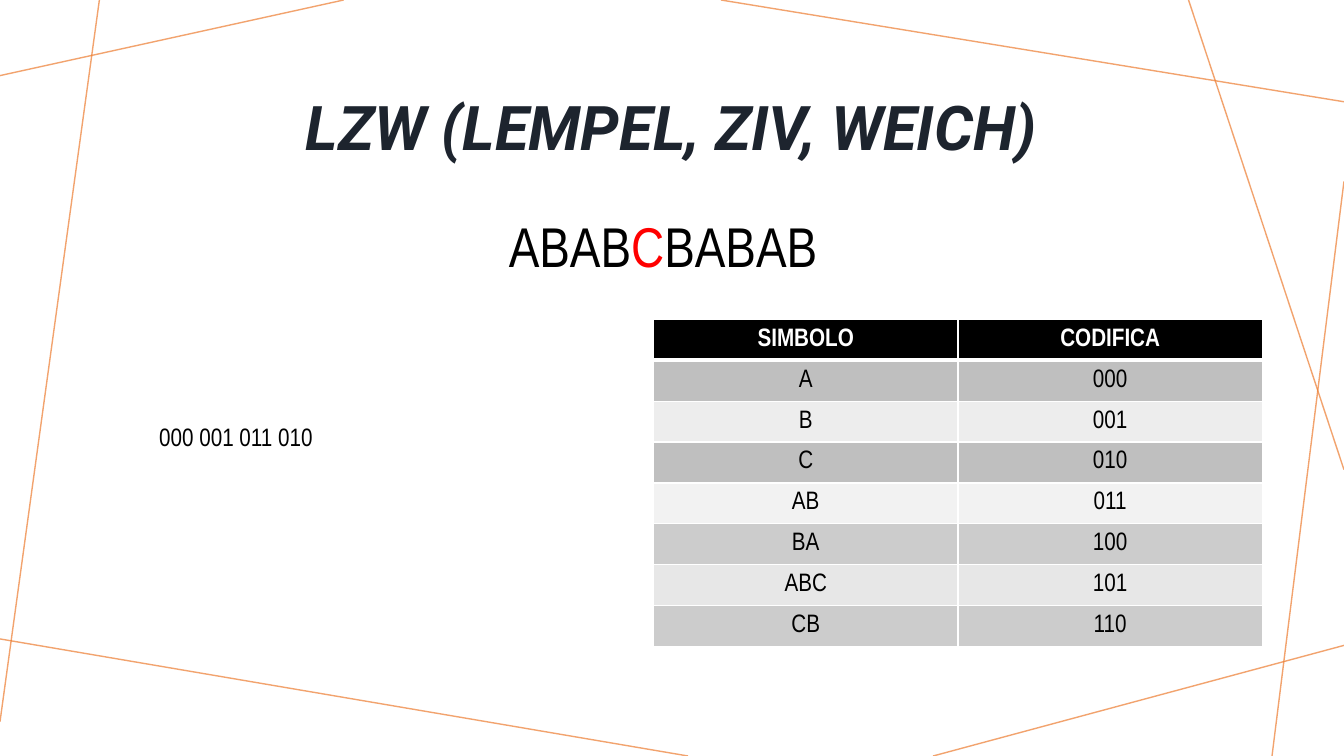
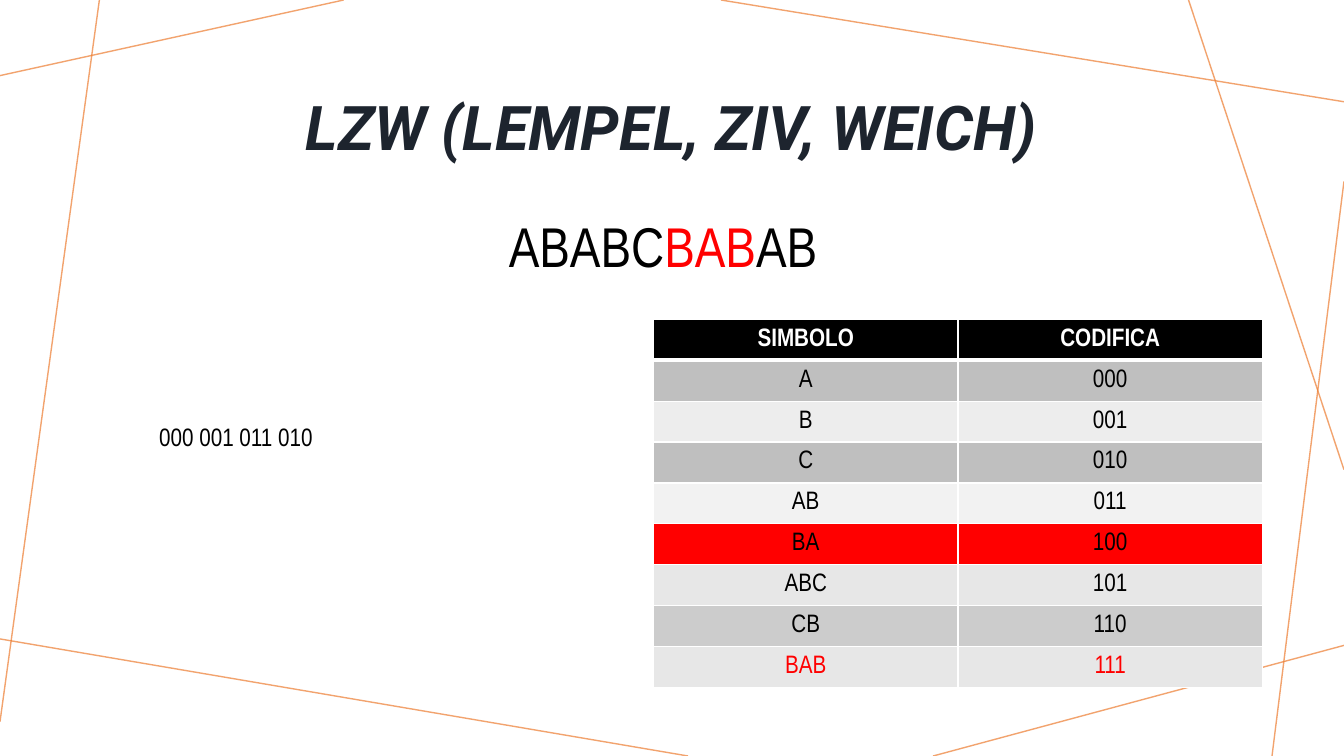
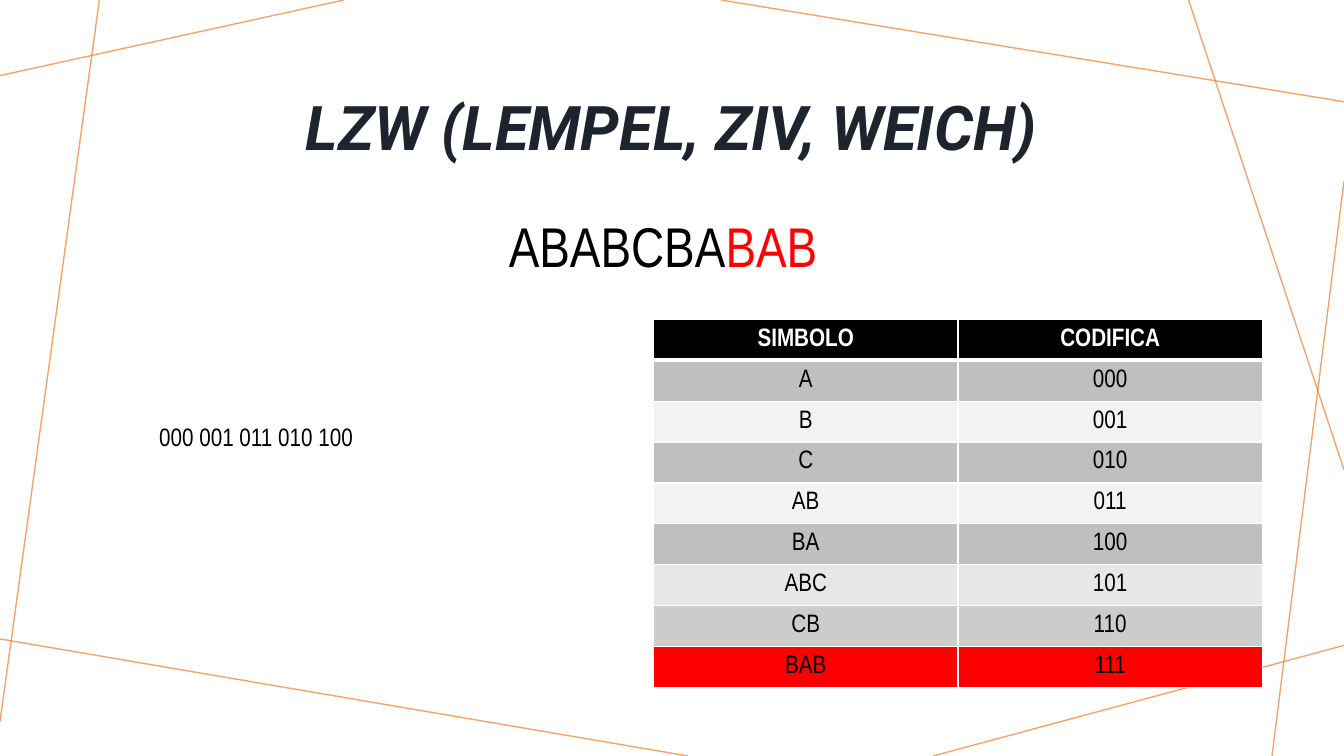
from lxml import etree
from pptx import Presentation
from pptx.dml.color import RGBColor
from pptx.enum import shapes, text
from pptx.oxml.ns import qn
from pptx.util import Pt

BLACK, WHITE, RED = "000000", "FFFFFF", "FF0000"
ORANGE, NAVY = "ED7D31", "1D242E"
DARK, MID, LIGHT, PALE, PALEST = "BFBFBF", "CCCCCC", "E7E7E7", "EDEDED", "F2F2F2"
BODY_FONT, TITLE_FONT = "Arial Narrow", "Roboto"

TITLE = "LZW (LEMPEL, ZIV, WEICH)"
HEADER = ("SIMBOLO", "CODIFICA")
SYMBOLS = ("A", "B", "C", "AB", "BA", "ABC", "CB", "BAB")
CROSSING_LINES = (
    (245.5, 0, 0, 54),
    (71, 0, 0, 515.5),
    (491.5, 540, 0, 456.4),
    (960, 461, 666.5, 540),
    (960, 129.6, 908.6, 540),
    (960, 335.5, 849, 0),
    (960, 72.7, 515, 0),
)

# One step per slide: message as (read, current, unread), output so far,
# row fills, colour of the newest symbol
STEPS = (
    (("ABAB", "C", "BABAB"), "000 001 011 010",
     (DARK, PALE, DARK, PALEST, MID, LIGHT, MID), BLACK),
    (("ABABC", "BAB", "AB"), "000 001 011 010",
     (DARK, PALE, DARK, PALEST, RED, LIGHT, MID, LIGHT), RED),
    (("ABABCBA", "BAB", ""), "000 001 011 010 100",
     (DARK, PALEST, DARK, PALEST, DARK, LIGHT, MID, RED), BLACK),
)


def rgb(value):
    return RGBColor.from_string(value)


def write(p, content, size=18, color=BLACK, font=BODY_FONT, bold=False, italic=False):
    """Add a formatted run to a paragraph."""
    r = p.add_run()
    r.text = content
    r.font.size = Pt(size)
    r.font.name = font
    r.font.bold = bold
    r.font.italic = italic
    r.font.color.rgb = rgb(color)


def add_background_line(s, ends):
    """Draw a translucent line and move it to the slide's layout."""
    c = s.shapes.add_connector(shapes.MSO_CONNECTOR.STRAIGHT, *map(Pt, ends))
    c.line.width = Pt(1)
    c.line.color.rgb = rgb(ORANGE)
    color = c.element.find(".//" + qn("a:srgbClr"))
    etree.SubElement(color, qn("a:alpha"), val="70000")
    etree.SubElement(c.element.spPr, qn("a:effectLst"))
    s.slide_layout.shapes.element.append(c.element)


def set_title(s):
    sp = s.shapes.title
    sp.left, sp.top, sp.width, sp.height = map(Pt, (90, 39, 780, 108.7))
    sp.text_frame.vertical_anchor = text.MSO_ANCHOR.MIDDLE
    p = sp.text_frame.paragraphs[0]
    p.alignment = text.PP_ALIGN.CENTER
    p.line_spacing = 0.9
    write(p, TITLE, size=44, color=NAVY, font=TITLE_FONT, bold=True, italic=True)


def add_text(s, box, parts, size=18):
    """Add a text box from (text, colour) pairs."""
    tf = s.shapes.add_textbox(*map(Pt, box)).text_frame
    tf.word_wrap = True
    tf.auto_size = text.MSO_AUTO_SIZE.SHAPE_TO_FIT_TEXT
    for content, color in parts:
        if content:
            write(tf.paragraphs[0], content, size=size, color=color)


def set_borders(cell, top, bottom):
    tc_pr = cell._tc.get_or_add_tcPr()
    for side, width in (("L", 1), ("R", 1), ("T", top), ("B", bottom)):
        ln = etree.SubElement(tc_pr, qn(f"a:ln{side}"), w=str(Pt(width)))
        fill = etree.SubElement(ln, qn("a:solidFill"))
        etree.SubElement(fill, qn("a:srgbClr"), val=WHITE)


def add_dictionary(s, fills, newest_color):
    """Add the table of symbols and their three-bit codes."""
    rows = [HEADER] + [(SYMBOLS[i], f"{i:03b}") for i in range(len(fills))]
    row_height = 29.2
    table = s.shapes.add_table(
        len(rows), 2, Pt(466.8), Pt(228.2), Pt(435), Pt(row_height * len(rows))
    ).table
    for i, (values, fill) in enumerate(zip(rows, (BLACK, *fills))):
        table.rows[i].height = Pt(row_height)
        is_header = i == 0
        color = WHITE if is_header else newest_color if i == len(fills) else BLACK
        for j, value in enumerate(values):
            cell = table.cell(i, j)
            set_borders(cell, top=3 if i == 1 else 1, bottom=3 if is_header else 1)
            cell.fill.solid()
            cell.fill.fore_color.rgb = rgb(fill)
            cell.vertical_anchor = text.MSO_ANCHOR.MIDDLE
            p = cell.text_frame.paragraphs[0]
            p.alignment = text.PP_ALIGN.CENTER
            write(p, value, color=color, bold=is_header)


def main():
    prs = Presentation()
    prs.slide_width, prs.slide_height = Pt(960), Pt(540)
    layout = prs.slide_layouts.get_by_name("Title Only")
    for message, output, fills, newest_color in STEPS:
        s = prs.slides.add_slide(layout)
        set_title(s)
        add_text(s, (356.4, 147.6, 247.7, 55.4),
                 zip(message, (BLACK, RED, BLACK)), size=40)
        add_dictionary(s, fills, newest_color)
        add_text(s, (106.6, 297.4, 360, 29), [(output, BLACK)])
    for ends in CROSSING_LINES:
        add_background_line(prs.slides[0], ends)
    prs.save("out.pptx")


if __name__ == "__main__":
    main()
